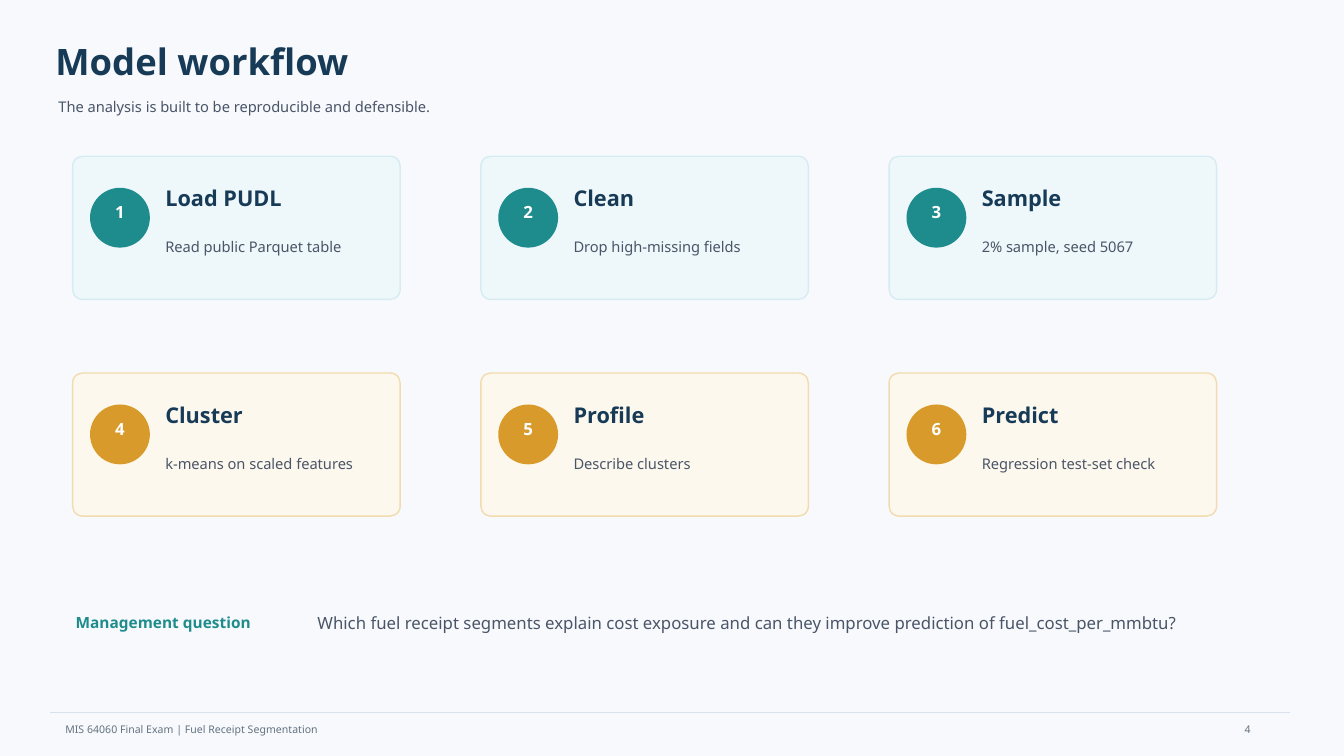
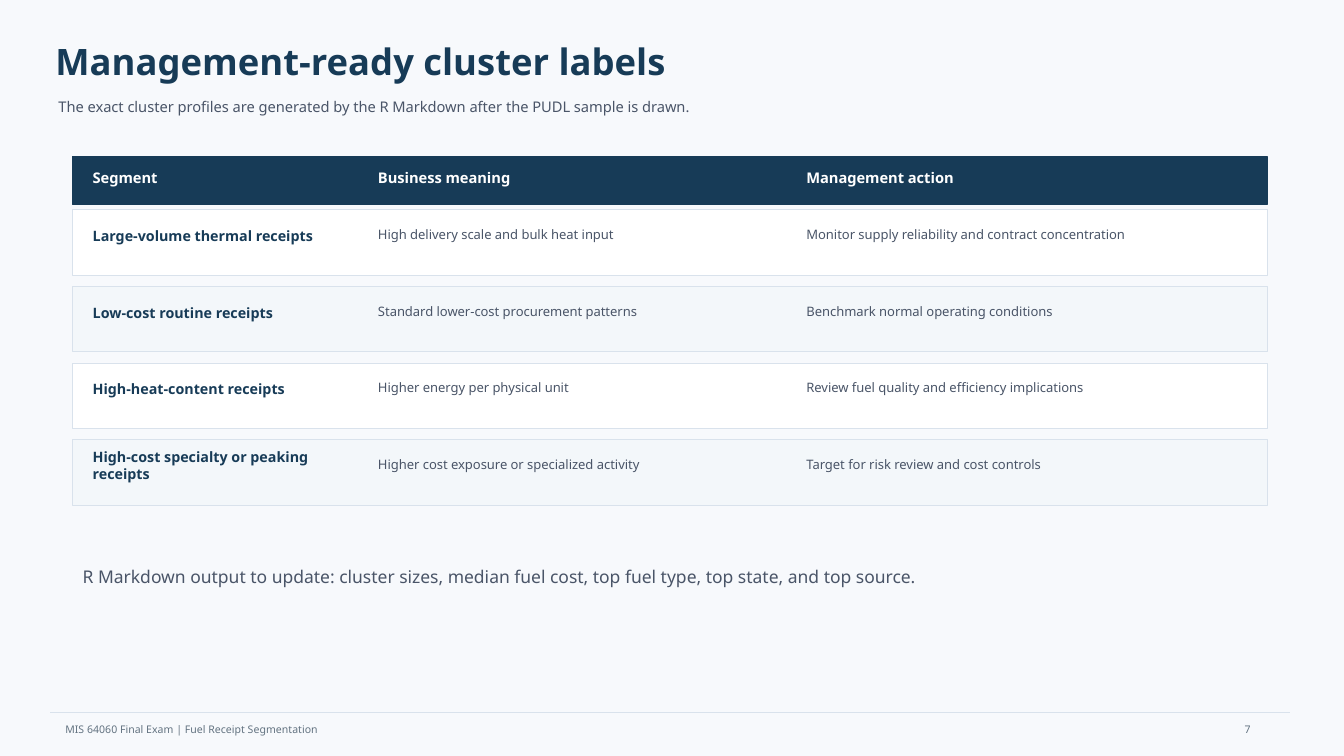
from dataclasses import dataclass
from typing import NamedTuple

from lxml import etree
from pptx import Presentation
from pptx.dml.color import RGBColor
from pptx.enum.shapes import MSO_CONNECTOR, MSO_SHAPE
from pptx.enum.text import MSO_ANCHOR, PP_ALIGN
from pptx.oxml.ns import qn
from pptx.presentation import Presentation as Deck
from pptx.shapes.autoshape import Shape
from pptx.slide import Slide
from pptx.util import Pt

# Shared colours and font
PAPER = RGBColor(0xF7, 0xF9, 0xFC)
WHITE = RGBColor(0xFF, 0xFF, 0xFF)
NAVY = RGBColor(0x17, 0x3B, 0x57)
SLATE = RGBColor(0x4A, 0x55, 0x68)
GREY = RGBColor(0x63, 0x73, 0x81)
RULE = RGBColor(0xD9, 0xE2, 0xEC)
STRIPE = RGBColor(0xF3, 0xF7, 0xFA)
TEAL = RGBColor(0x1E, 0x8C, 0x8C)
TEAL_PALE = RGBColor(0xEE, 0xF7, 0xFA)
TEAL_EDGE = RGBColor(0xD7, 0xEB, 0xF2)
AMBER = RGBColor(0xD8, 0x9B, 0x2B)
AMBER_PALE = RGBColor(0xFD, 0xF8, 0xED)
AMBER_EDGE = RGBColor(0xF2, 0xDB, 0xAE)
FONT = "Noto Sans"


class Box(NamedTuple):
    """Left, top, width and height in points."""
    left: float
    top: float
    width: float
    height: float

    def within(self, parent: "Box") -> "Box":
        return self._replace(left=parent.left + self.left, top=parent.top + self.top)


@dataclass(frozen=True)
class TextStyle:
    size: float
    color: RGBColor
    bold: bool = False
    align: PP_ALIGN = PP_ALIGN.LEFT
    anchor: MSO_ANCHOR = MSO_ANCHOR.MIDDLE
    inset: bool = False


TITLE = TextStyle(26, NAVY, bold=True)
BODY = TextStyle(10.5, SLATE)
FOOTER = TextStyle(7.5, GREY, inset=True)
PAGE_NUMBER = TextStyle(7.5, GREY, anchor=MSO_ANCHOR.TOP, inset=True)
STEP_NUMBER = TextStyle(12, WHITE, bold=True, align=PP_ALIGN.CENTER)
STEP_NAME = TextStyle(15.5, NAVY, bold=True)
QUESTION_LABEL = TextStyle(11, TEAL, bold=True)
QUESTION = TextStyle(12, SLATE)
COLUMN_HEAD = TextStyle(10.5, WHITE, bold=True)
SEGMENT = TextStyle(10.2, NAVY, bold=True)
DETAIL = TextStyle(9.3, SLATE)
NOTE = TextStyle(12.5, SLATE)


# Drawing helpers
def add_text(slide: Slide, box: Box, text: str, style: TextStyle) -> None:
    frame = slide.shapes.add_textbox(*map(Pt, box)).text_frame
    frame.word_wrap = True
    frame.vertical_anchor = style.anchor
    if not style.inset:
        frame.margin_left = frame.margin_right = 0
        frame.margin_top = frame.margin_bottom = 0
    paragraph = frame.paragraphs[0]
    paragraph.alignment = style.align
    run = paragraph.add_run()
    run.text = text
    run.font.name = FONT
    run.font.size = Pt(style.size)
    run.font.bold = style.bold
    run.font.color.rgb = style.color


def add_panel(slide: Slide, kind: MSO_SHAPE, box: Box, fill: RGBColor,
              edge: RGBColor, weight: float = 1) -> Shape:
    panel = slide.shapes.add_shape(kind, *map(Pt, box))
    panel.shadow.inherit = False
    panel.fill.solid()
    panel.fill.fore_color.rgb = fill
    panel.line.color.rgb = edge
    panel.line.width = Pt(weight)
    return panel


def add_rule(slide: Slide, left: float, right: float, y: float) -> None:
    rule = slide.shapes.add_connector(
        MSO_CONNECTOR.STRAIGHT, Pt(left), Pt(y), Pt(right), Pt(y))
    rule.line.color.rgb = RULE
    rule.line.width = Pt(1)
    etree.SubElement(rule._element.spPr, qn("a:effectLst"))


def add_page(deck: Deck, title: str, subtitle: str, number: int) -> Slide:
    """Blank slide with the title block and footer that all pages share."""
    slide = deck.slides.add_slide(deck.slide_layouts[6])
    slide.background.fill.solid()
    slide.background.fill.fore_color.rgb = PAPER
    add_rule(slide, 36, 921.6, 509.04)
    add_text(slide, Box(39.6, 512.64, 576, 15.84),
             "MIS 64060 Final Exam | Fuel Receipt Segmentation", FOOTER)
    add_text(slide, Box(39.6, 25.2, 856.8, 36), title, TITLE)
    add_text(slide, Box(41.76, 66.24, 835.2, 20.16), subtitle, BODY)
    add_text(slide, Box(882, 512.64, 62.64, 23.76), str(number), PAGE_NUMBER)
    return slide


# Both slides start their content at this corner
CONTENT_LEFT, CONTENT_TOP = 51.84, 111.6


# Workflow cards
class Step(NamedTuple):
    name: str
    detail: str


class CardTheme(NamedTuple):
    fill: RGBColor
    edge: RGBColor
    accent: RGBColor


STEPS_PER_ROW = 3
CARD_PITCH_X, CARD_PITCH_Y = 291.6, 154.8
ROW_THEMES = [
    CardTheme(TEAL_PALE, TEAL_EDGE, TEAL),
    CardTheme(AMBER_PALE, AMBER_EDGE, AMBER),
]
STEPS = [
    Step("Load PUDL", "Read public Parquet table"),
    Step("Clean", "Drop high-missing fields"),
    Step("Sample", "2% sample, seed 5067"),
    Step("Cluster", "k-means on scaled features"),
    Step("Profile", "Describe clusters"),
    Step("Predict", "Regression test-set check"),
]


def add_step_card(slide: Slide, index: int, step: Step) -> None:
    row, column = divmod(index, STEPS_PER_ROW)
    theme = ROW_THEMES[row]
    card = Box(CONTENT_LEFT + column * CARD_PITCH_X,
               CONTENT_TOP + row * CARD_PITCH_Y, 234, 102.24)
    panel = add_panel(slide, MSO_SHAPE.ROUNDED_RECTANGLE, card, theme.fill, theme.edge)
    panel.adjustments[0] = 0.07
    add_panel(slide, MSO_SHAPE.OVAL, Box(12.96, 23.04, 41.76, 41.76).within(card),
              theme.accent, theme.accent)
    add_text(slide, Box(25.92, 33.12, 15.84, 12.96).within(card),
             str(index + 1), STEP_NUMBER)
    add_text(slide, Box(66.24, 18, 147.6, 23.04).within(card), step.name, STEP_NAME)
    add_text(slide, Box(66.24, 51.84, 151.2, 25.2).within(card), step.detail, BODY)


def build_workflow(deck: Deck) -> None:
    slide = add_page(deck, "Model workflow",
                     "The analysis is built to be reproducible and defensible.", 4)
    for index, step in enumerate(STEPS):
        add_step_card(slide, index, step)
    add_text(slide, Box(54, 435.6, 144, 18), "Management question", QUESTION_LABEL)
    add_text(slide, Box(226.8, 434.88, 648, 20.16),
             "Which fuel receipt segments explain cost exposure and can they "
             "improve prediction of fuel_cost_per_mmbtu?", QUESTION)


# Segment bands: separate strips with gaps between them
class Column(NamedTuple):
    heading: str
    left: float
    width: float
    style: TextStyle
    text_top: float
    text_height: float


BAND_WIDTH = 853.2
FIRST_BAND_TOP, BAND_PITCH, BAND_HEIGHT = 149.76, 54.72, 46.8
COLUMNS = [
    Column("Segment", 14.4, 187.2, SEGMENT, 10.08, 17.28),
    Column("Business meaning", 218.16, 277.2, DETAIL, 8.64, 18),
    Column("Management action", 524.16, 284.4, DETAIL, 8.64, 18),
]
SEGMENTS = [
    ("Large-volume thermal receipts", "High delivery scale and bulk heat input",
     "Monitor supply reliability and contract concentration"),
    ("Low-cost routine receipts", "Standard lower-cost procurement patterns",
     "Benchmark normal operating conditions"),
    ("High-heat-content receipts", "Higher energy per physical unit",
     "Review fuel quality and efficiency implications"),
    ("High-cost specialty or peaking receipts",
     "Higher cost exposure or specialized activity",
     "Target for risk review and cost controls"),
]


def add_segment_band(slide: Slide, index: int, texts: tuple[str, ...]) -> None:
    band = Box(CONTENT_LEFT, FIRST_BAND_TOP + index * BAND_PITCH,
               BAND_WIDTH, BAND_HEIGHT)
    fill = STRIPE if index % 2 else WHITE
    add_panel(slide, MSO_SHAPE.RECTANGLE, band, fill, RULE, 0.5)
    for column, text in zip(COLUMNS, texts):
        cell = Box(column.left, column.text_top, column.width, column.text_height)
        add_text(slide, cell.within(band), text, column.style)


def build_cluster_labels(deck: Deck) -> None:
    slide = add_page(deck, "Management-ready cluster labels",
                     "The exact cluster profiles are generated by the R Markdown "
                     "after the PUDL sample is drawn.", 7)
    header = Box(CONTENT_LEFT, CONTENT_TOP, BAND_WIDTH, 34.56)
    add_panel(slide, MSO_SHAPE.RECTANGLE, header, NAVY, NAVY)
    for column in COLUMNS:
        cell = Box(column.left, 8.64, column.width, 12.96)
        add_text(slide, cell.within(header), column.heading, COLUMN_HEAD)
    for index, texts in enumerate(SEGMENTS):
        add_segment_band(slide, index, texts)
    add_text(slide, Box(59.04, 399.6, 817.2, 23.76),
             "R Markdown output to update: cluster sizes, median fuel cost, "
             "top fuel type, top state, and top source.", NOTE)


def main() -> None:
    deck = Presentation()
    deck.slide_width, deck.slide_height = Pt(960), Pt(540)
    build_workflow(deck)
    build_cluster_labels(deck)
    deck.save("out.pptx")


main()
